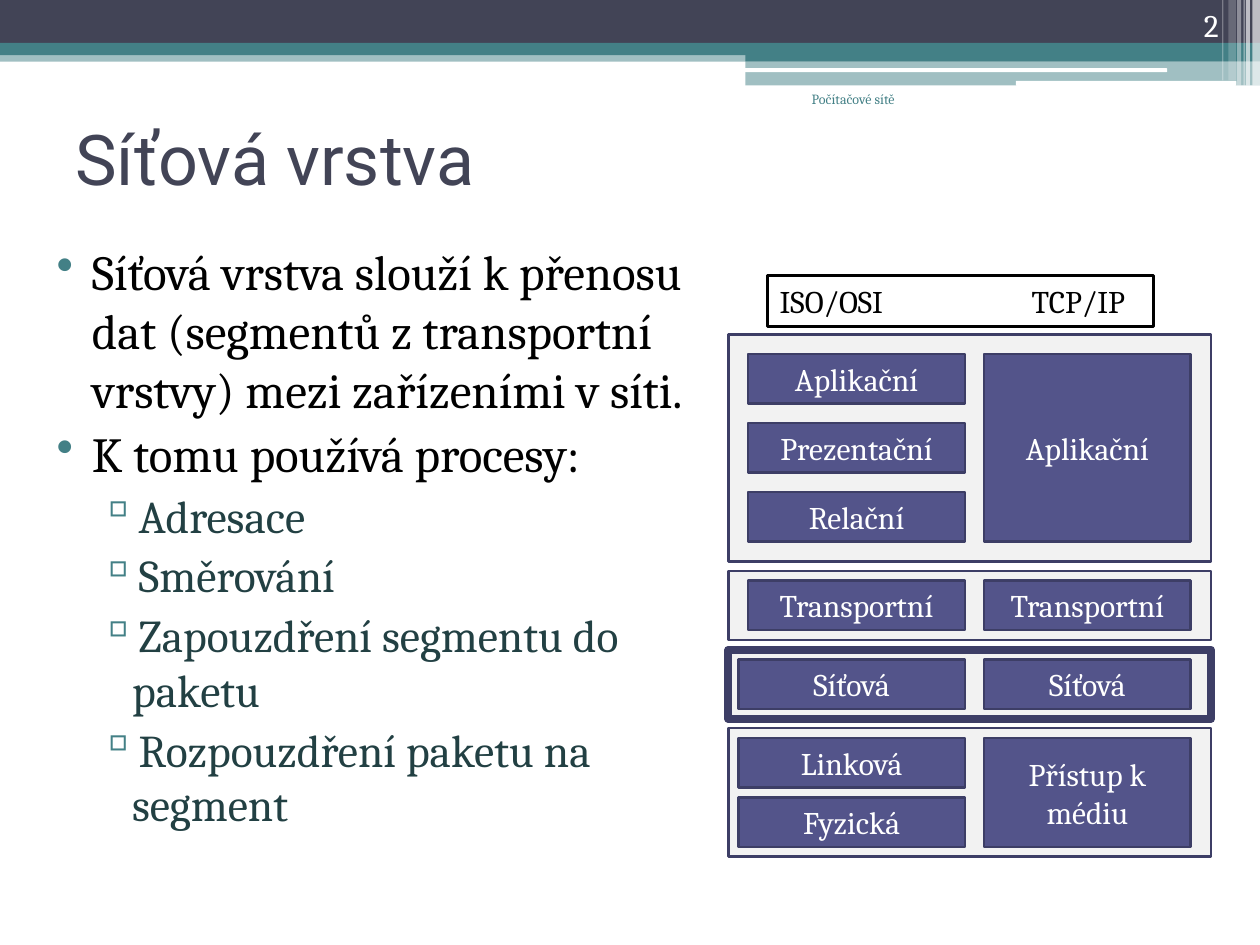
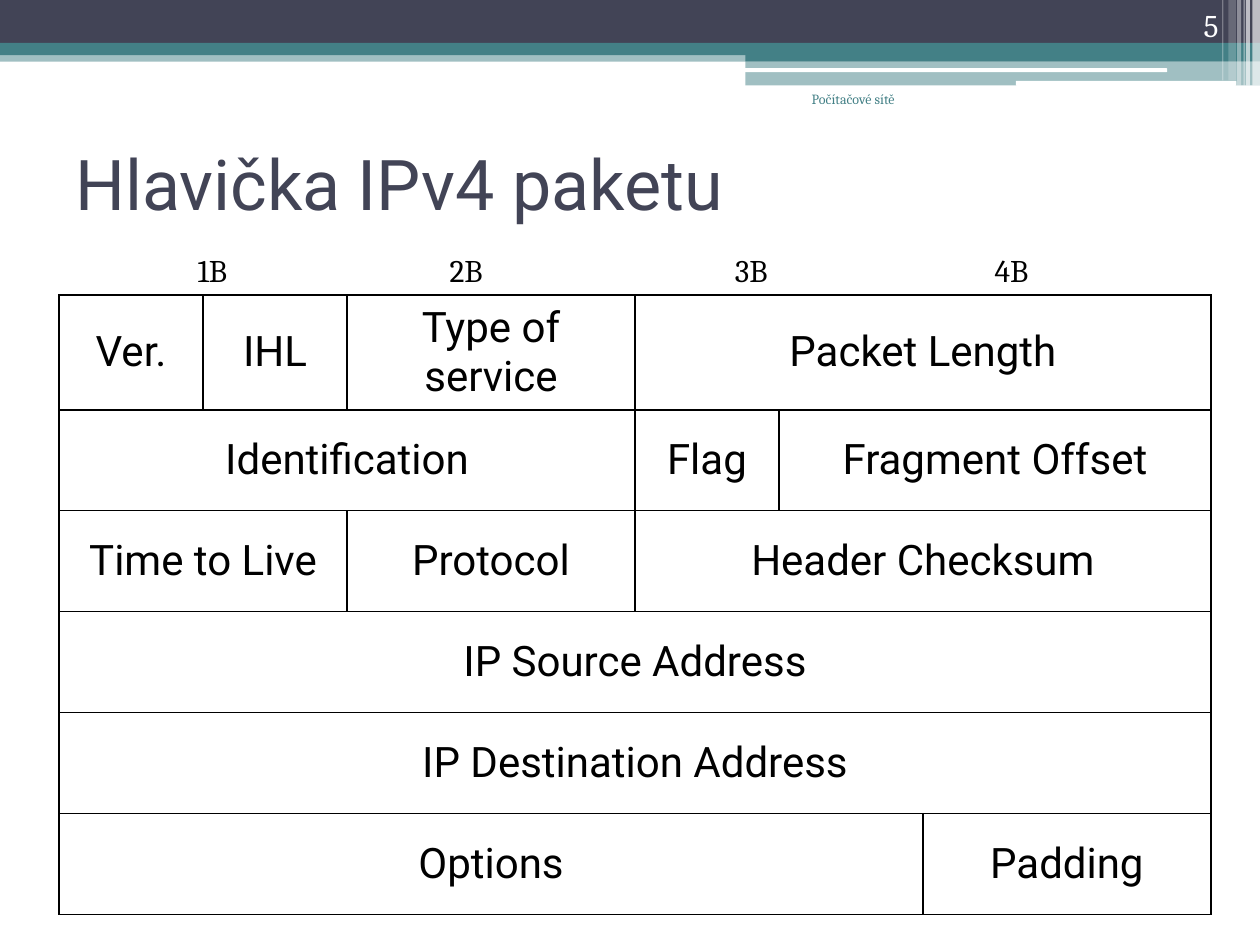
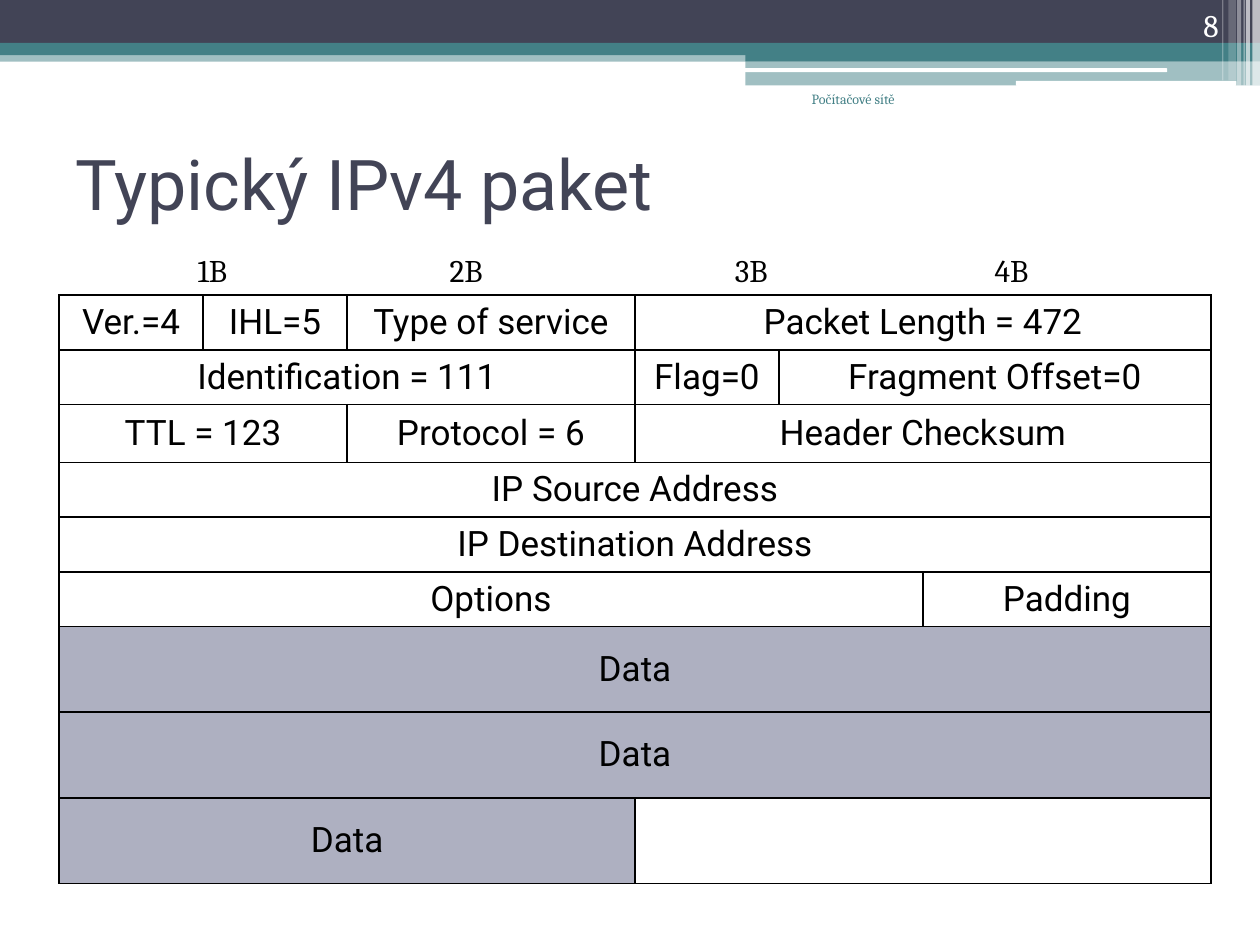
"""Build three slides on the network layer and the IPv4 packet."""
from lxml import etree
from pptx import Presentation
from pptx.dml.color import RGBColor
from pptx.enum.shapes import MSO_SHAPE
from pptx.enum.text import MSO_ANCHOR, PP_ALIGN
from pptx.oxml.ns import qn
from pptx.util import Pt

RECTANGLE = MSO_SHAPE.RECTANGLE
ROUNDED = MSO_SHAPE.ROUNDED_RECTANGLE
TOP, MIDDLE, BOTTOM = MSO_ANCHOR.TOP, MSO_ANCHOR.MIDDLE, MSO_ANCHOR.BOTTOM
LEFT, CENTER, RIGHT = PP_ALIGN.LEFT, PP_ALIGN.CENTER, PP_ALIGN.RIGHT

COLORS = {
    "navy": "424456", "teal": "438086", "dark teal": "224043",
    "white": "FFFFFF", "black": "000000", "panel": "F2F2F2",
    "box": "53548A", "edge": "3D3E66", "data": "AEB0C1",
}
SERIF, SANS = "Cambria", "Roboto"

BANDS = [
    (RECTANGLE, 0, 28.8, 720, 6.5, "teal", 50),
    (RECTANGLE, 0, 0, 720, 24.5, "navy", 100),
    (RECTANGLE, 0, 24.5, 720, 7, "teal", 100),
    (RECTANGLE, 426, 28, 294, 7, "teal", 100),
    (RECTANGLE, 426, 34.8, 294, 14, "teal", 50),
    (ROUNDED, 425.5, 39, 241.5, 2.2, "white", 100),
    (ROUNDED, 580.5, 46.2, 126, 2.8, "white", 100),
]
STRIPES = [
    (715.7, 4.3, 49, 65), (712, 2.2, 49, 65), (710.6, 0.7, 49, 60),
    (707, 2.2, 49, 40), (702, 4.3, 46, 20), (698.4, 0.7, 46, 30),
]

PANELS = [(416, 73.5, 1.5), (371.3, 39.5, 4.5), (326.3, 39.5, 1.5), (191.3, 129.5, 1.5)]
BOX_HEIGHT = 28.4
LEFT_EDGE, RIGHT_EDGE = 551.5, 562.3
RIGHT_WIDTH = 118.2
NARROW, WIDE = 124, 129.6
OSI_LAYERS = [
    ("Aplikační", 202.3, NARROW), ("Prezentační", 241.7, NARROW),
    ("Relační", 281.2, NARROW), ("Transportní", 331.7, NARROW),
    ("Síťová", 376.8, WIDE), ("Linková", 421.8, WIDE), ("Fyzická", 455.6, WIDE),
]
TCP_LAYERS = [
    ("Aplikační", 202.3, 107.3), ("Transportní", 331.7, BOX_HEIGHT),
    ("Síťová", 376.8, BOX_HEIGHT), ("Přístup k médiu", 421.8, 62.2),
]

PROCESSES = [
    "Adresace", "Směrování",
    "Zapouzdření segmentu do paketu", "Rozpouzdření paketu na segment",
]

GRID_UNIT = 82.28
GRID_COLUMNS = [1, 1, 2, 1, 1, 2]
HEADER_SPANS = [(1, 1, 1, 3), (3, 1, 2), (2, 1, 3), (6,), (6,), (5, 1)]
HEADER_FIELDS = [
    ("Ver.", "IHL", "Type of service", "Packet Length"),
    ("Identification", "Flag", "Fragment Offset"),
    ("Time to Live", "Protocol", "Header Checksum"),
    ("IP Source Address",), ("IP Destination Address",), ("Options", "Padding"),
]
PACKET_FIELDS = [
    ("Ver.=4", "IHL=5", "Type of service", "Packet Length = 472"),
    ("Identification = 111", "Flag=0", "Fragment Offset=0"),
    ("TTL = 123", "Protocol = 6", "Header Checksum"),
    *HEADER_FIELDS[3:],
    ("Data",), ("Data",), ("Data", ""),
]


def apply(target, values):
    """Set each attribute named in values on the target."""
    for name, value in values.items():
        setattr(target, name, value)


def color(name):
    """Return the named colour."""
    return RGBColor.from_string(COLORS[name])


class Deck:
    """Hold the shared style and the current slide."""

    def __init__(self):
        """Start an empty presentation of 10 by 7.5 inches."""
        self.presentation = Presentation()
        apply(self.presentation, {"slide_width": Pt(720), "slide_height": Pt(540)})
        self.slide = None

    def start_slide(self, title, number, title_top, title_height):
        """Add a slide with bands, title, footer and number."""
        self.slide = self.presentation.slides.add_slide(self.presentation.slide_layouts[6])
        for kind, left, top, width, height, fill, opacity in BANDS:
            self.shape(left, top, width, height, fill, kind=kind, opacity=opacity)
        for left, width, height, opacity in STRIPES:
            self.shape(left, 0, width, height, "white", opacity=opacity)
        self.text(title, 36, title_top, 648, title_height, size=40, font=SANS,
                  fill="navy", anchor=MIDDLE)
        self.text("Počítačové sítě", 414, 48.2, 104.4, 36, size=8, fill="teal", align=RIGHT)
        self.text(number, 643.7, 0, 59.8, 28.8, fill="white", align=RIGHT, anchor=BOTTOM)

    def shape(self, left, top, width, height, fill=None, line=None, line_width=1.5,
              kind=RECTANGLE, opacity=100):
        """Add a preset shape with optional fill, outline and transparency."""
        shape = self.slide.shapes.add_shape(kind, Pt(left), Pt(top), Pt(width), Pt(height))
        shape.shadow.inherit = False
        if fill:
            shape.fill.solid()
            shape.fill.fore_color.rgb = color(fill)
            if opacity < 100:
                fill_color = shape._element.spPr.find(".//" + qn("a:srgbClr"))
                etree.SubElement(fill_color, qn("a:alpha"), val=str(opacity * 1000))
        else:
            shape.fill.background()
        if line:
            shape.line.color.rgb = color(line)
            shape.line.width = Pt(line_width)
        else:
            shape.line.fill.background()
        return shape

    def add_text(self, paragraph, text, size=18, font=SERIF, fill="black", align=LEFT):
        """Put one formatted run into a paragraph."""
        paragraph.alignment = align
        run = paragraph.add_run()
        run.text = text
        apply(run.font, {"size": Pt(size), "name": font, "bold": False})
        run.font.color.rgb = color(fill)

    def text(self, text, left, top, width, height, anchor=TOP, tabs=(), **style):
        """Add a one-paragraph text box with optional tab stops."""
        box = self.slide.shapes.add_textbox(Pt(left), Pt(top), Pt(width), Pt(height))
        apply(box.text_frame, {"word_wrap": True, "vertical_anchor": anchor})
        paragraph = box.text_frame.paragraphs[0]
        self.add_text(paragraph, text, **style)
        if tabs:
            stops = etree.SubElement(paragraph._p.get_or_add_pPr(), qn("a:tabLst"))
            for position in tabs:
                etree.SubElement(stops, qn("a:tab"), pos=str(Pt(position)), algn="l")

    def bullets(self, items, left, top, width, height):
        """Add a bulleted list of (level, text) items."""
        levels = [("•", 28.8, -20.2, 28, "black"), ("▫", 51.8, -19.4, 26, "dark teal")]
        box = self.slide.shapes.add_textbox(Pt(left), Pt(top), Pt(width), Pt(height))
        frame = box.text_frame
        frame.word_wrap = True
        for index, (level, text) in enumerate(items):
            mark, margin, indent, size, fill = levels[level]
            paragraph = frame.add_paragraph() if index else frame.paragraphs[0]
            apply(paragraph, {"level": level, "space_before": Pt(3)})
            self.add_text(paragraph, text, size=size, fill=fill)
            properties = paragraph._p.get_or_add_pPr()
            properties.set("marL", str(Pt(margin)))
            properties.set("indent", str(Pt(indent)))
            bullet_color = etree.SubElement(properties, qn("a:buClr"))
            etree.SubElement(bullet_color, qn("a:srgbClr"), val=COLORS["teal"])
            etree.SubElement(properties, qn("a:buChar"), char=mark)

    def layer(self, text, left, top, width, height):
        """Add one labelled layer of a network model."""
        frame = self.shape(left, top, width, height, "box", "edge").text_frame
        apply(frame, {"word_wrap": True, "vertical_anchor": MIDDLE})
        self.add_text(frame.paragraphs[0], text, fill="white", align=CENTER)

    def cell_borders(self, cell):
        """Draw thin black lines on all sides of a cell."""
        properties = cell._tc.get_or_add_tcPr()
        for index, side in enumerate(("a:lnL", "a:lnR", "a:lnT", "a:lnB")):
            line = etree.Element(qn(side), w=str(Pt(1)))
            fill = etree.SubElement(line, qn("a:solidFill"))
            etree.SubElement(fill, qn("a:srgbClr"), val=COLORS["black"])
            properties.insert(index, line)

    def packet(self, fields, spans, heights, size):
        """Add the byte scale and the table of packet fields."""
        self.text("\t1B\t2B\t3B\t4B", 33.8, 139.7, 658, 28.8, tabs=(72, 216, 379, 527.5))
        frame = self.slide.shapes.add_table(
            len(fields), len(GRID_COLUMNS), Pt(33.8), Pt(168.7),
            Pt(GRID_UNIT * sum(GRID_COLUMNS)), Pt(sum(heights)))
        table = frame.table
        apply(table, {"first_row": False, "horz_banding": False})
        for column, units in zip(table.columns, GRID_COLUMNS):
            column.width = Pt(GRID_UNIT * units)
        for row, height in zip(table.rows, heights):
            row.height = Pt(height)
        for cell in table.iter_cells():
            cell.fill.background()
            self.cell_borders(cell)
        for row_index, (texts, widths) in enumerate(zip(fields, spans)):
            start = 0
            for text, span in zip(texts, widths):
                cell = table.cell(row_index, start)
                if span > 1:
                    cell.merge(table.cell(row_index, start + span - 1))
                cell.vertical_anchor = MIDDLE
                if text:
                    self.add_text(cell.text_frame.paragraphs[0], text, size=size,
                                  font=SANS, align=CENTER)
                if text == "Data":
                    cell.fill.solid()
                    cell.fill.fore_color.rgb = color("data")
                start += span


def network_layer(deck):
    """Build the slide comparing the layer models."""
    deck.start_slide("Síťová vrstva", "2", 56.2, 67.7)
    deck.bullets([
        (0, "Síťová vrstva slouží k přenosu dat (segmentů z transportní vrstvy) "
            "mezi zařízeními v síti."),
        (0, "K tomu používá procesy:"),
        *((1, process) for process in PROCESSES),
    ], 16.6, 134.6, 399.6, 393.8)
    for top, height, line_width in PANELS:
        deck.shape(416.2, top, 275.8, height, "panel", "edge", line_width)
    for name, top, width in OSI_LAYERS:
        deck.layer(name, LEFT_EDGE - width, top, width, BOX_HEIGHT)
    for name, top, height in TCP_LAYERS:
        deck.layer(name, RIGHT_EDGE, top, RIGHT_WIDTH, height)
    deck.shape(438.5, 157.5, 220.7, 29, line="black")
    deck.text("ISO/OSI\tTCP/IP", 438.5, 157.5, 220.7, 29, tabs=(144,))


def main():
    """Build and save the presentation."""
    deck = Deck()
    network_layer(deck)
    deck.start_slide("Hlavička IPv4 paketu", "5", 62, 84.2)
    deck.packet(HEADER_FIELDS, HEADER_SPANS, [65.5] + [57.7] * 5, 24)
    deck.start_slide("Typický IPv4 paket", "8", 62, 84.2)
    deck.packet(PACKET_FIELDS, HEADER_SPANS + [(6,), (6,), (3, 3)],
                [30.8, 30.8, 33.1] + [30.8] * 3 + [49] * 3, 20)
    deck.presentation.save("out.pptx")


if __name__ == "__main__":
    main()
